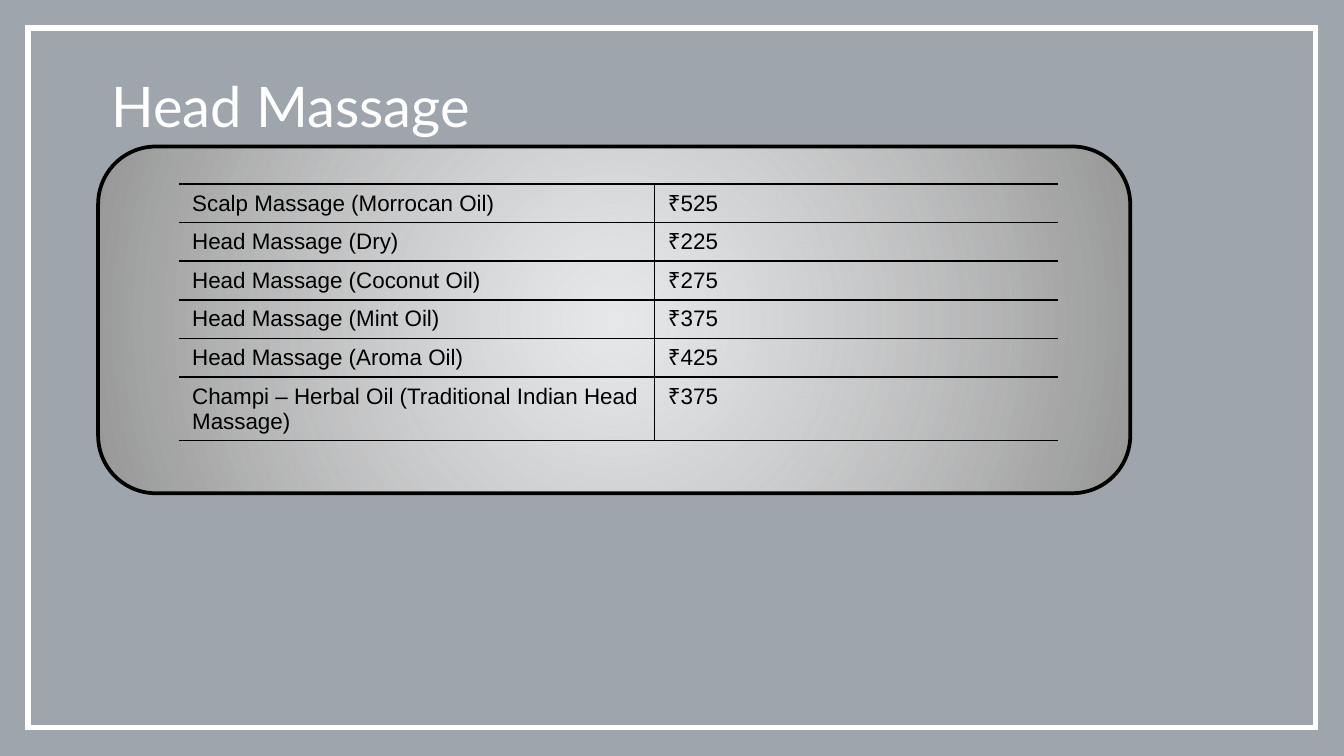
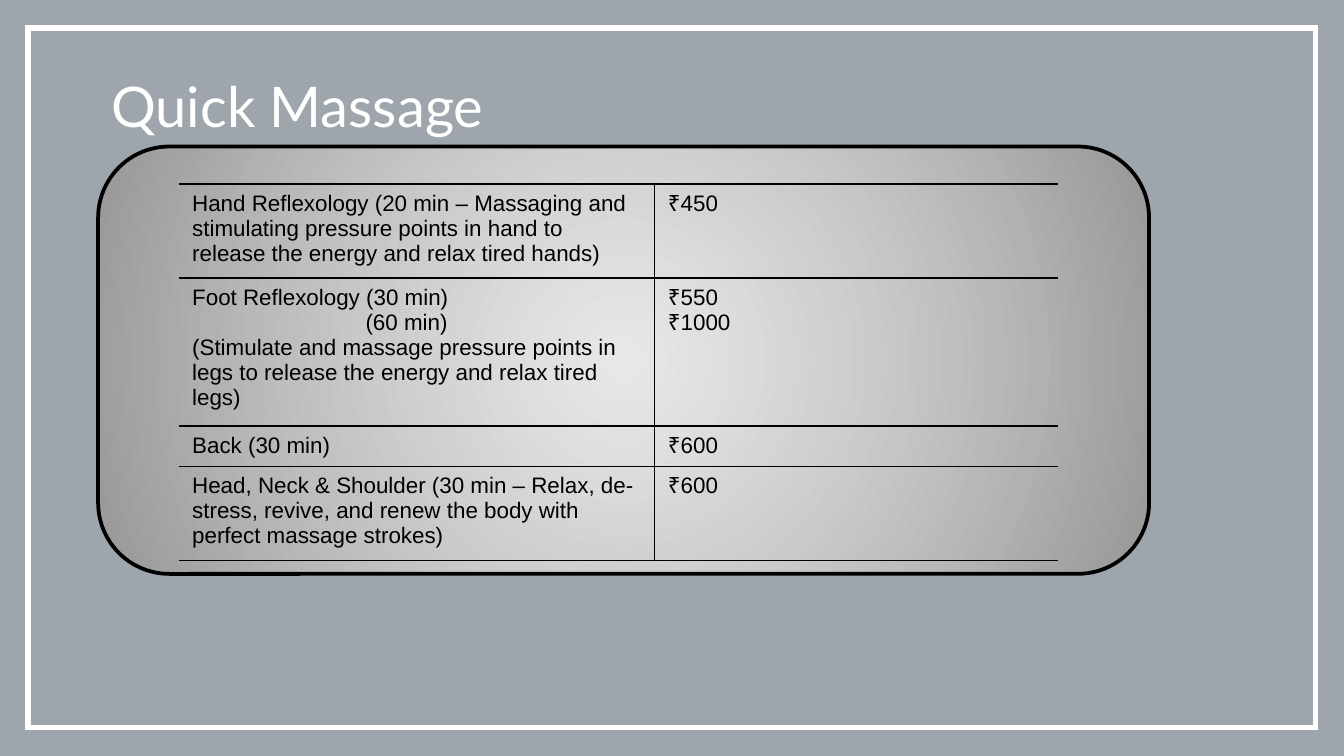
import pptx
import pptx.dml.color
import pptx.enum.shapes
import pptx.enum.text
import pptx.oxml
import pptx.oxml.ns
import pptx.util
from pptx.util import Inches

# Content: each service is (lines, prices, drawn line count);
# a line may be (text, indent in inches)
MENUS = [
    {
        "title": "Head Massage",
        "panel_size": (7.68, 2.58),
        "services": [
            (["Scalp Massage (Morrocan Oil)"], ["₹525"], 1),
            (["Head Massage (Dry)"], ["₹225"], 1),
            (["Head Massage (Coconut Oil)"], ["₹275"], 1),
            (["Head Massage (Mint Oil)"], ["₹375"], 1),
            (["Head Massage (Aroma Oil)"], ["₹425"], 1),
            (["Champi – Herbal Oil (Traditional Indian Head Massage)"], ["₹375"], 2),
        ],
    },
    {
        "title": "Quick Massage",
        "panel_size": (7.82, 3.18),
        "services": [
            (["Hand Reflexology (20 min – Massaging and stimulating pressure points "
              "in hand to release the energy and relax tired hands)"], ["₹450"], 3),
            (["Foot Reflexology (30 min)",
              ("(60 min)", 1.29),
              "(Stimulate and massage pressure points in legs to release the energy "
              "and relax tired legs)"], ["₹550", "₹1000"], 5),
            (["Back (30 min)"], ["₹600"], 1),
            (["Head, Neck & Shoulder (30 min – Relax, de-stress, revive, and renew "
              "the body with perfect massage strokes)"], ["₹600"], 3),
        ],
    },
]

# Shared style
COLORS = {"white": "FFFFFF", "veil": "021526", "edge": "979797", "ink": "000000"}
SLIDE_WIDTH = 10
SLIDE_HEIGHT = SLIDE_WIDTH * 9 / 16
FRAME_MARGIN = 0.21
PANEL_LEFT, PANEL_TOP = 0.73, 1.09
TITLE_BOX = (0.73, 0.48, 4.85, 0.61)
PRICES_LEFT, PRICES_TOP = 1.33, 1.37
COLUMN_WIDTHS = (3.54, 3)
LINE_POINTS, CELL_PADDING_POINTS = 13.45, 7.2
SHAPES = pptx.enum.shapes.MSO_SHAPE
NS = pptx.oxml.ns.nsdecls("a")


def rgb(name):
    return pptx.dml.color.RGBColor.from_string(COLORS[name])


def write(frame, lines, *, size, font, color):
    """Write one paragraph per line, with an optional left indent."""
    for number, line in enumerate(lines):
        text, indent = line if isinstance(line, tuple) else (line, 0)
        paragraph = frame.paragraphs[0] if number == 0 else frame.add_paragraph()
        if indent:
            paragraph._p.get_or_add_pPr().set("marL", str(Inches(indent)))
        run = paragraph.add_run()
        run.text = text
        run.font.size = pptx.util.Pt(size)
        run.font.name = font
        run.font.color.rgb = rgb(color)


def add_block(slide, kind, box, fill=None, line=None, line_width=0):
    block = slide.shapes.add_shape(kind, *map(Inches, box))
    block.shadow.inherit = False
    if fill:
        block.fill.solid()
        block.fill.fore_color.rgb = rgb(fill)
    else:
        block.fill.background()
    if line:
        block.line.color.rgb = rgb(line)
        block.line.width = pptx.util.Pt(line_width)
        block.line._ln.append(pptx.oxml.parse_xml(f'<a:miter {NS} lim="800000"/>'))
    else:
        block.line.fill.background()
    return block


def add_backdrop(slide):
    veil = add_block(slide, SHAPES.RECTANGLE, (0, 0, SLIDE_WIDTH, 5.64), fill="veil")
    tint = veil._element.spPr.find(".//" + pptx.oxml.ns.qn("a:srgbClr"))
    tint.append(pptx.oxml.parse_xml(f'<a:alpha {NS} val="38000"/>'))
    frame = (FRAME_MARGIN, FRAME_MARGIN,
             SLIDE_WIDTH - 2 * FRAME_MARGIN, SLIDE_HEIGHT - 2 * FRAME_MARGIN)
    add_block(slide, SHAPES.RECTANGLE, frame, line="white", line_width=3)


def add_panel(slide, size):
    panel = add_block(slide, SHAPES.ROUNDED_RECTANGLE, (PANEL_LEFT, PANEL_TOP, *size),
                      line="ink", line_width=2)
    # Radial glow, light in the middle
    glow = pptx.oxml.parse_xml(
        f'<a:gradFill {NS} rotWithShape="1"><a:gsLst>'
        f'<a:gs pos="0"><a:srgbClr val="{COLORS["white"]}"><a:alpha val="75000"/></a:srgbClr></a:gs>'
        f'<a:gs pos="100000"><a:srgbClr val="{COLORS["edge"]}"/></a:gs></a:gsLst>'
        '<a:path path="circle"><a:fillToRect l="50000" t="50000" r="50000" b="50000"/></a:path>'
        '</a:gradFill>')
    properties = panel._element.spPr
    properties.replace(properties.find(pptx.oxml.ns.qn("a:noFill")), glow)


def rule_cell(cell, ruled_sides):
    """Draw thin rules on the named sides and leave the others open."""
    properties = cell._tc.get_or_add_tcPr()
    for side in "LRTB":
        paint = (f'<a:solidFill><a:srgbClr val="{COLORS["ink"]}"/></a:solidFill>'
                 if side in ruled_sides else "<a:noFill/>")
        properties.append(pptx.oxml.parse_xml(
            f'<a:ln{side} {NS} w="12700">{paint}</a:ln{side}>'))
    cell.fill.background()


def add_price_list(slide, services):
    heights = [pptx.util.Pt(CELL_PADDING_POINTS + LINE_POINTS * line_count)
               for _, _, line_count in services]
    table = slide.shapes.add_table(
        len(services), len(COLUMN_WIDTHS), Inches(PRICES_LEFT), Inches(PRICES_TOP),
        Inches(sum(COLUMN_WIDTHS)), sum(heights)).table
    table.first_row = table.horz_banding = False
    for column, width in zip(table.columns, COLUMN_WIDTHS):
        column.width = Inches(width)
    for row, (names, prices, _) in enumerate(services):
        table.rows[row].height = heights[row]
        for column, (lines, sides) in enumerate(((names, "RTB"), (prices, "LTB"))):
            cell = table.cell(row, column)
            write(cell.text_frame, lines, size=12, font="Arial", color="ink")
            rule_cell(cell, sides)


def add_title(slide, title):
    frame = slide.shapes.add_textbox(*map(Inches, TITLE_BOX)).text_frame
    frame.word_wrap = True
    frame.auto_size = pptx.enum.text.MSO_AUTO_SIZE.SHAPE_TO_FIT_TEXT
    write(frame, [title], size=30, font="Lato", color="white")


def main():
    deck = pptx.Presentation()
    deck.slide_width, deck.slide_height = Inches(SLIDE_WIDTH), Inches(SLIDE_HEIGHT)
    for menu in MENUS:
        slide = deck.slides.add_slide(deck.slide_layouts[6])
        add_backdrop(slide)
        add_panel(slide, menu["panel_size"])
        add_price_list(slide, menu["services"])
        add_title(slide, menu["title"])
    deck.save("out.pptx")


if __name__ == "__main__":
    main()
